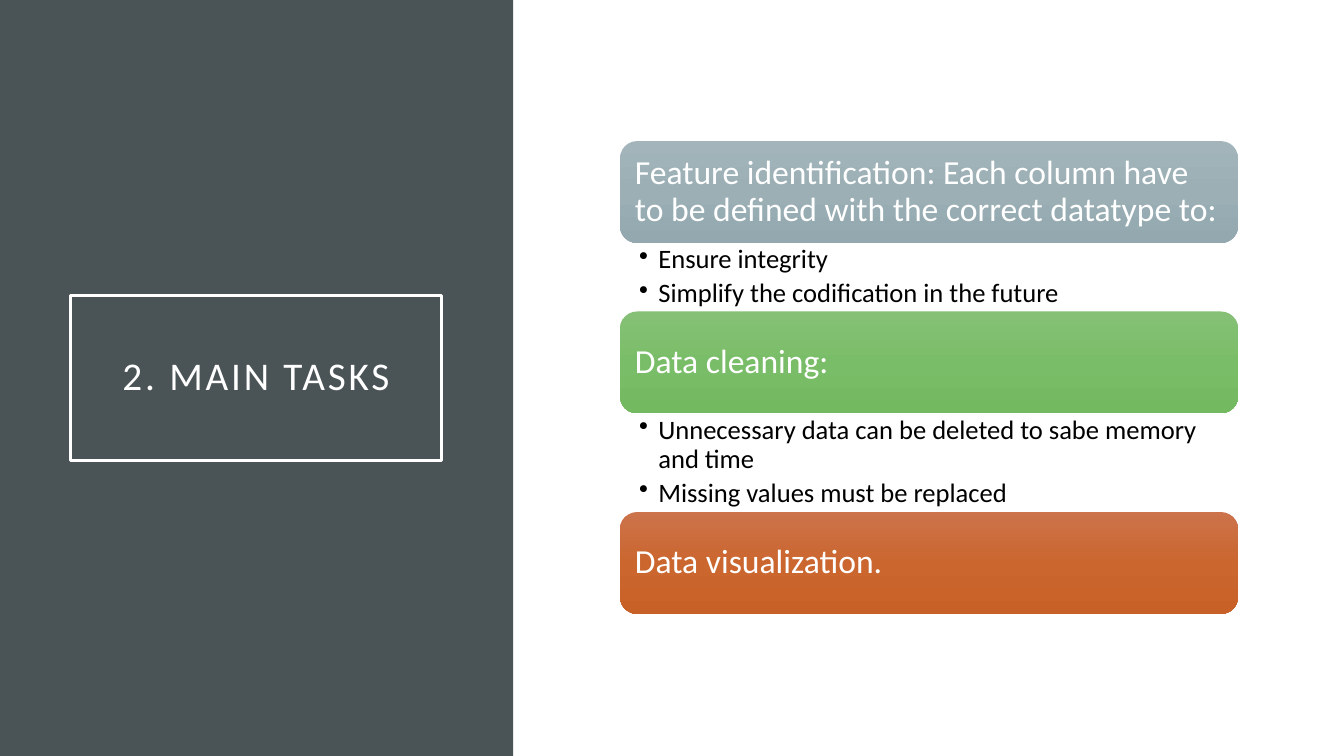
import copy

import pptx
import pptx.dml.color
import pptx.enum.shapes
import pptx.enum.text
import pptx.oxml
import pptx.oxml.ns
import pptx.util

Inches = pptx.util.Inches
Pt = pptx.util.Pt
RGBColor = pptx.dml.color.RGBColor
MSO_SHAPE = pptx.enum.shapes.MSO_SHAPE
MSO_ANCHOR = pptx.enum.text.MSO_ANCHOR
PP_ALIGN = pptx.enum.text.PP_ALIGN

FONT = "Calibri"
WHITE = RGBColor(0xFF, 0xFF, 0xFF)
BLACK = RGBColor(0x00, 0x00, 0x00)
SLATE = RGBColor(0x4A, 0x53, 0x56)
GREYS = [RGBColor(0xA3, 0xB5, 0xBB), RGBColor(0x9B, 0xAF, 0xB5), RGBColor(0x93, 0xA9, 0xAF)]
GREENS = [RGBColor(0x85, 0xC0, 0x76), RGBColor(0x7A, 0xBD, 0x68), RGBColor(0x73, 0xB9, 0x60)]
ORANGES = [RGBColor(0xCC, 0x73, 0x4B), RGBColor(0xCB, 0x66, 0x2F), RGBColor(0xC8, 0x61, 0x28)]

HEADING_HEIGHT = 1.01
# Heading, gradient, bullets, height of the bullet area
TASKS = [
    ("Feature identification: Each column have to be defined with the correct datatype to:",
     GREYS, ["Ensure integrity", "Simplify the codification in the future"], 0.68),
    ("Data cleaning:", GREENS,
     ["Unnecessary data can be deleted to sabe memory and time",
      "Missing values must be replaced"], 0.98),
    ("Data visualization.", ORANGES, [], 0),
]


def add_box(slide, preset, left, top, width, height):
    box = slide.shapes.add_shape(
        preset, Inches(left), Inches(top), Inches(width), Inches(height))
    box.shadow.inherit = False
    return box


def set_frame(frame, side, vertical, anchor):
    frame.word_wrap = True
    frame.vertical_anchor = anchor
    frame.margin_left = frame.margin_right = Inches(side)
    frame.margin_top = frame.margin_bottom = Inches(vertical)


def set_paragraph(paragraph, text, size, color, align=PP_ALIGN.LEFT):
    paragraph.text = text
    paragraph.alignment = align
    paragraph.line_spacing = 0.9
    paragraph.font.name = FONT
    paragraph.font.size = Pt(size)
    paragraph.font.color.rgb = color


def fill_downwards(box, colors):
    """Fill with a three-stop gradient from top to bottom."""
    box.fill.gradient()
    box.fill.gradient_angle = 270
    stops = box._element.spPr.find(".//" + pptx.oxml.ns.qn("a:gsLst"))
    middle = copy.deepcopy(stops[0])
    middle.set("pos", "50000")
    stops.insert(1, middle)
    for stop, color in zip(box.fill.gradient_stops, colors):
        stop.color.rgb = color


def add_bullet(paragraph):
    properties = paragraph._p.get_or_add_pPr()
    properties.set("marL", str(Inches(0.19)))
    properties.set("indent", str(Inches(-0.19)))
    bullet = pptx.oxml.parse_xml(
        f'<a:buChar {pptx.oxml.ns.nsdecls("a")} char="•"/>')
    properties.append(bullet)


def add_title_panel(slide, left, top, width, height):
    panel = add_box(slide, MSO_SHAPE.RECTANGLE, left, top, width, height)
    panel.fill.solid()
    panel.fill.fore_color.rgb = SLATE
    panel.line.fill.background()

    title = add_box(slide, MSO_SHAPE.RECTANGLE, left + 0.7, top + 2.93, width - 1.41, 1.64)
    title.fill.background()
    title.line.color.rgb = WHITE
    title.line.width = Pt(2.5)
    set_frame(title.text_frame, 0.2, 0.2, MSO_ANCHOR.MIDDLE)
    paragraph = title.text_frame.paragraphs[0]
    set_paragraph(paragraph, "2. MAIN TASKS", 28, WHITE, PP_ALIGN.CENTER)
    paragraph.runs[0].font._element.set("spc", "200")


def add_heading(slide, text, colors, left, top, width):
    heading = add_box(slide, MSO_SHAPE.ROUNDED_RECTANGLE, left, top, width, HEADING_HEIGHT)
    fill_downwards(heading, colors)
    heading.line.fill.background()
    set_frame(heading.text_frame, 0.1, 0.1, MSO_ANCHOR.MIDDLE)
    set_paragraph(heading.text_frame.paragraphs[0], text, 24, WHITE)


def add_details(slide, details, left, top, width, height):
    frame = slide.shapes.add_textbox(
        Inches(left), Inches(top), Inches(width), Inches(height)).text_frame
    set_frame(frame, 0.19, 0.03, MSO_ANCHOR.TOP)
    for index, detail in enumerate(details):
        paragraph = frame.add_paragraph() if index else frame.paragraphs[0]
        set_paragraph(paragraph, detail, 19, BLACK)
        paragraph.space_after = Pt(3.8)
        add_bullet(paragraph)


def add_task_list(slide, left, top, width):
    """Stack each heading and its bullets downwards without gaps."""
    for heading, colors, details, details_height in TASKS:
        add_heading(slide, heading, colors, left, top, width)
        top += HEADING_HEIGHT
        if details:
            add_details(slide, details, left, top, width, details_height)
        top += details_height


def main():
    presentation = pptx.Presentation()
    presentation.slide_width = Inches(13.33)
    presentation.slide_height = Inches(7.5)
    slide = presentation.slides.add_slide(presentation.slide_layouts[6])
    add_title_panel(slide, 0, 0, 5.09, 7.5)
    add_task_list(slide, 6.15, 1.4, 6.13)
    presentation.save("out.pptx")


if __name__ == "__main__":
    main()
